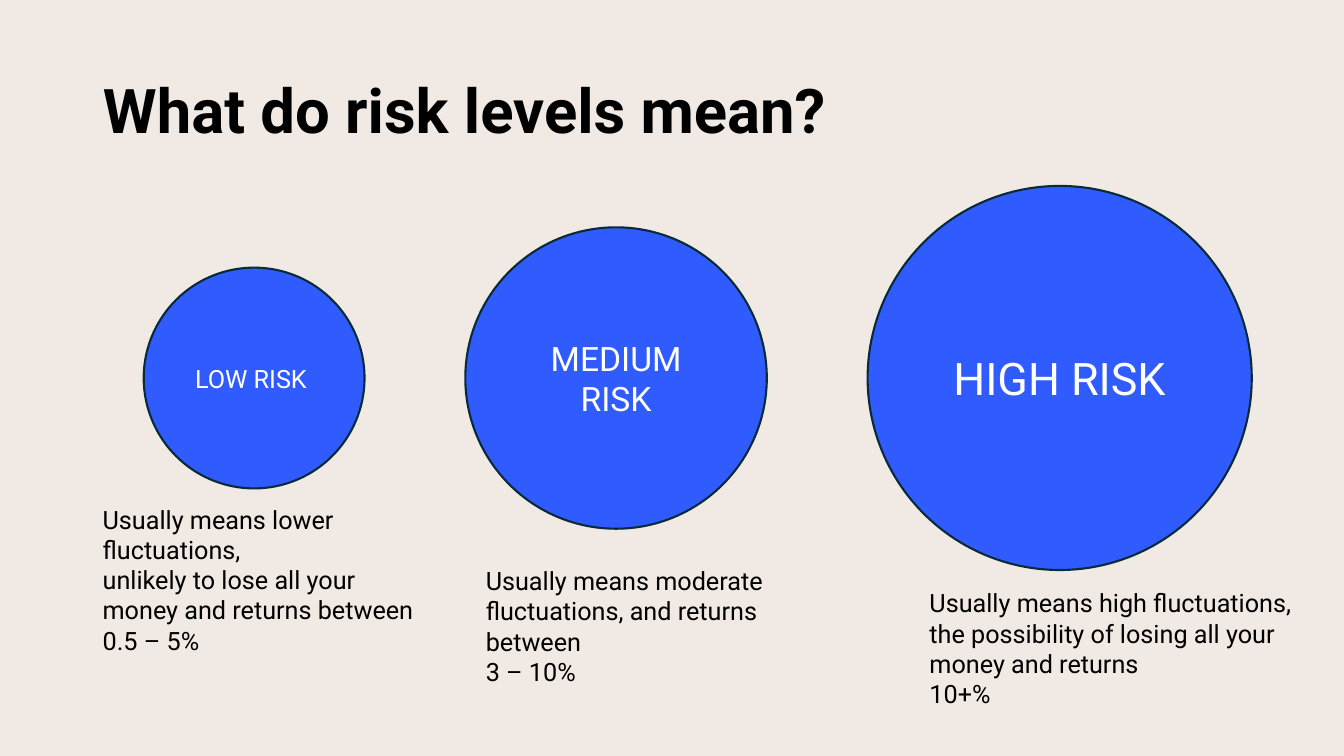
from pptx import Presentation
from pptx.dml.color import RGBColor
from pptx.enum import shapes, text
from pptx.util import Inches, Pt

BACKGROUND = RGBColor(0xF1, 0xE9, 0xE3)
BLUE = RGBColor(0x30, 0x5C, 0xFF)
OUTLINE = RGBColor(0x09, 0x2A, 0x39)
BLACK = RGBColor(0, 0, 0)
WHITE = RGBColor(0xFF, 0xFF, 0xFF)
FONT = "Roboto"

HEADING = "What do risk levels mean?"
RISKS = [
    {"label": "LOW RISK ", "size": 18, "center": 2.52, "diameter": 2.19,
     "box": (0.92, 4.95, 3.3, 1.92),
     "meaning": ["Usually means lower", "fluctuations,",
                 "unlikely to lose all your money and returns between",
                 "0.5 – 5%"]},
    {"label": "MEDIUM RISK", "size": 24, "center": 6.11, "diameter": 2.99,
     "box": (4.72, 5.56, 3.3, 1.31),
     "meaning": ["Usually means moderate fluctuations, and returns between \v3 – 10%"]},
    {"label": "HIGH RISK", "size": 32, "center": 10.51, "diameter": 3.81,
     "box": (9.12, 5.78, 3.81, 1.62),
     "meaning": ["Usually means high fluctuations, the possibility of losing "
                 "all your money and returns", "10+%"]},
]
CIRCLE_MIDDLE = 3.75


def write(frame, lines, size, color=BLACK, bold=False, align=text.PP_ALIGN.LEFT,
          anchor=text.MSO_ANCHOR.TOP, spacing=None):
    """Fill a text frame with one formatted paragraph per line."""
    frame.word_wrap = True
    frame.vertical_anchor = anchor
    for index, line in enumerate(lines):
        paragraph = frame.add_paragraph() if index else frame.paragraphs[0]
        paragraph.text = line
        paragraph.alignment = align
        paragraph.line_spacing = spacing
        for run in paragraph.runs:
            run.font.name = FONT
            run.font.size = Pt(size)
            run.font.bold = bold
            run.font.color.rgb = color


def main():
    """Build the risk levels slide."""
    deck = Presentation()
    deck.slide_width, deck.slide_height = Inches(13.33), Inches(7.5)
    slide = deck.slides.add_slide(deck.slide_layouts[5])
    slide.background.fill.solid()
    slide.background.fill.fore_color.rgb = BACKGROUND

    heading = slide.shapes.title
    heading.left, heading.top = Inches(0.92), Inches(0.4)
    heading.width, heading.height = Inches(11.5), Inches(1.45)
    write(heading.text_frame, [HEADING], 44, bold=True,
          anchor=text.MSO_ANCHOR.MIDDLE, spacing=0.9)

    for risk in RISKS:
        diameter = risk["diameter"]
        circle = slide.shapes.add_shape(
            shapes.MSO_SHAPE.OVAL, Inches(risk["center"] - diameter / 2),
            Inches(CIRCLE_MIDDLE - diameter / 2), Inches(diameter), Inches(diameter))
        circle.shadow.inherit = False
        circle.fill.solid()
        circle.fill.fore_color.rgb = BLUE
        circle.line.color.rgb = OUTLINE
        circle.line.width = Pt(1.5)
        write(circle.text_frame, [risk["label"]], risk["size"], color=WHITE,
              align=text.PP_ALIGN.CENTER, anchor=text.MSO_ANCHOR.MIDDLE)

        meaning = slide.shapes.add_textbox(*map(Inches, risk["box"]))
        write(meaning.text_frame, risk["meaning"], 18)
        meaning.text_frame.auto_size = text.MSO_AUTO_SIZE.SHAPE_TO_FIT_TEXT

    deck.save("out.pptx")


if __name__ == "__main__":
    main()
